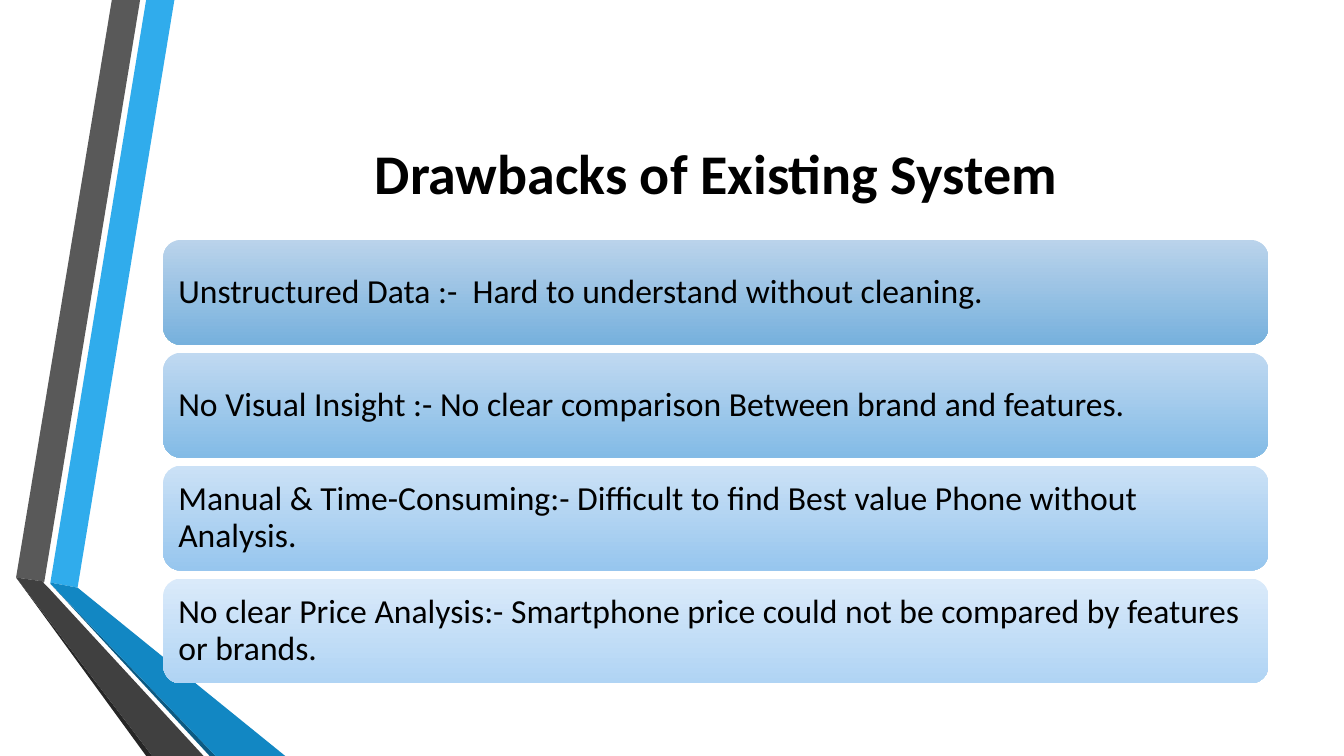
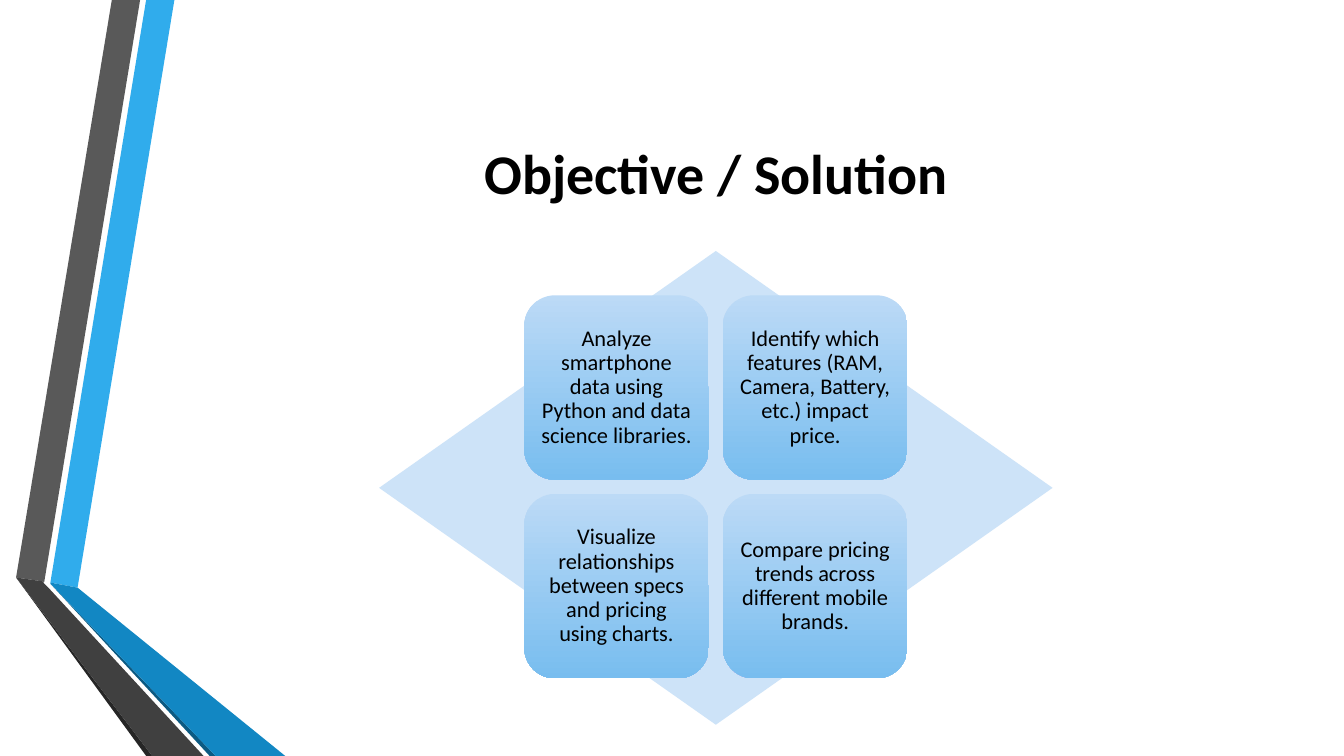
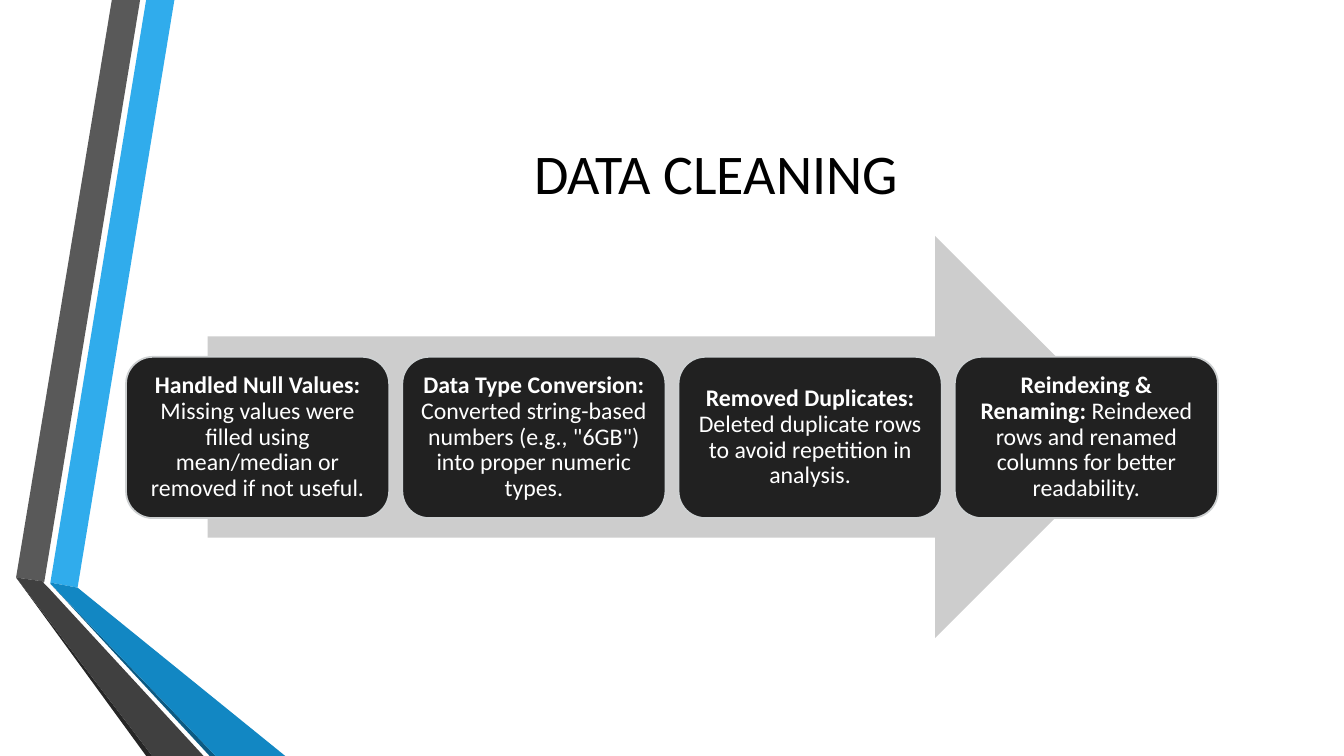
"""Build three slides on a smartphone data project: drawbacks, objectives and data cleaning."""
from dataclasses import dataclass

from pptx import Presentation
from pptx.dml.color import RGBColor as RGB
from pptx.enum.shapes import MSO_SHAPE as Kind
from pptx.enum.text import MSO_ANCHOR as Anchor, PP_ALIGN as Align
from pptx.util import Inches, Pt


@dataclass(frozen=True)
class Theme:
    font: str = "Calibri"
    ink: str = "000000"
    paper: str = "FFFFFF"
    sky: str = "30ACEC"
    blue: str = "1287C3"
    navy: str = "0C5A82"
    gray: str = "595959"
    dark: str = "404040"
    black: str = "262626"
    rows: tuple = (("BAD3EB", "77B1DD"), ("C0D9F1", "83BBE6"),
                   ("CBE1F6", "97C6EE"), ("DAEAFA", "B0D4F4"))
    tile: tuple = ("BCDAF6", "78BDEF")
    pale: str = "CDE3F8"
    arrow: str = "CDCDCD"
    step: str = "212121"
    edge: str = "CDD0D1"
    head: int = 40
    large: int = 24
    small: int = 16
    note: int = 17


theme = Theme()


def draw(slide, kind, left, top, width, height, fill):
    """Add a flat preset shape; a pair of colours makes a vertical gradient."""
    shape = slide.shapes.add_shape(kind, Inches(left), Inches(top), Inches(width), Inches(height))
    shape.shadow.inherit = False
    shape.line.fill.background()
    if isinstance(fill, tuple):
        shape.fill.gradient()
        shape.fill.gradient_angle = 270
        for stop, tint in zip(shape.fill.gradient_stops, fill):
            stop.color.rgb = RGB.from_string(tint)
    else:
        shape.fill.solid()
        shape.fill.fore_color.rgb = RGB.from_string(fill)
    return shape


def write(shape, parts, size, color=theme.ink, align=Align.CENTER, inset=0.07, lines=0.9):
    """Fill a shape with one paragraph made of (text, bold) parts."""
    frame = shape.text_frame
    frame.word_wrap = True
    frame.vertical_anchor = Anchor.MIDDLE
    frame.margin_left = frame.margin_right = Inches(inset)
    frame.margin_top = frame.margin_bottom = Inches(inset)
    para = frame.paragraphs[0]
    para.alignment = align
    para.line_spacing = lines
    para.font.name = theme.font
    para.font.size = Pt(size)
    para.font.color.rgb = RGB.from_string(color)
    for text, bold in parts:
        run = para.add_run()
        run.text = text
        run.font.bold = bold


deck = Presentation()
deck.slide_width = Inches(13.33)
deck.slide_height = Inches(7.5)

bands = [
    (theme.sky, [(50, 578), (77, 583), (173, 0), (145, 0)]),
    (theme.gray, [(139, 0), (111, 0), (16, 573), (44, 577)]),
    (theme.black, [(16, 573), (145, 750), (151, 750)]),
    (theme.navy, [(50, 579), (208, 750), (214, 750)]),
    (theme.blue, [(50, 579), (214, 750), (283, 750), (77, 583), (50, 578)]),
    (theme.dark, [(202, 750), (48, 583), (43, 578), (44, 577), (16, 573), (151, 750)]),
]
titles = [("Drawbacks of Existing System", True), ("Objective / Solution", True),
          ("DATA CLEANING", False)]
slides = []
for title in titles:
    slide = deck.slides.add_slide(deck.slide_layouts[6])
    for color, points in bands:
        path = slide.shapes.build_freeform(*points[0], scale=Inches(0.01))
        path.add_line_segments(points[1:], close=True)
        band = path.convert_to_shape()
        band.shadow.inherit = False
        band.fill.solid()
        band.fill.fore_color.rgb = RGB.from_string(color)
        band.line.fill.background()
    box = slide.shapes.add_textbox(Inches(1.62), Inches(0.75), Inches(10.96), Inches(1.92))
    write(box, [title], theme.head, lines=1.0)
    slides.append(slide)
flaws, goals, clean = slides

rows = [
    "Unstructured Data :-  Hard to understand without cleaning.",
    "No Visual Insight :- No clear comparison Between brand and features.",
    "Manual & Time-Consuming:- Difficult to find Best value Phone without Analysis.",
    "No clear Price Analysis:- Smartphone price could not be compared by features or brands.",
]
for i, (text, fill) in enumerate(zip(rows, theme.rows)):
    row = draw(flaws, Kind.ROUNDED_RECTANGLE, 1.62, 2.38 + 1.12 * i, 10.96, 1.04, fill)
    write(row, [(text, False)], theme.large, align=Align.LEFT, inset=0.1)

tiles = [
    "Analyze smartphone data using Python and data science libraries.",
    "Identify which features (RAM, Camera, Battery, etc.) impact price.",
    "Visualize relationships between specs and pricing using charts.",
    "Compare pricing trends across different mobile brands.",
]
draw(goals, Kind.DIAMOND, 3.76, 2.49, 6.68, 4.7, theme.pale)
for i, text in enumerate(tiles):
    down, across = divmod(i, 2)
    tile = draw(goals, Kind.ROUNDED_RECTANGLE, 5.2 + 1.97 * across, 2.93 + 1.97 * down,
                1.83, 1.83, theme.tile)
    write(tile, [(text, False)], theme.small)

steps = [
    ("Handled Null Values: ",
     "Missing values were filled using mean/median or removed if not useful."),
    ("Data Type Conversion: ",
     'Converted string-based numbers (e.g., "6GB") into proper numeric types.'),
    ("Removed Duplicates: ",
     "Deleted duplicate rows to avoid repetition in analysis."),
    ("Reindexing & Renaming: ",
     "Reindexed rows and renamed columns for better readability."),
]
draw(clean, Kind.RIGHT_ARROW, 2.06, 2.34, 9.21, 3.99, theme.arrow)
for i, (name, text) in enumerate(steps):
    step = draw(clean, Kind.ROUNDED_RECTANGLE, 1.25 + 2.74 * i, 3.54, 2.61, 1.6, theme.step)
    step.line.color.rgb = RGB.from_string(theme.edge)
    step.line.width = Pt(1.25)
    write(step, [(name, True), (text, False)], theme.note, theme.paper)

deck.save("out.pptx")
